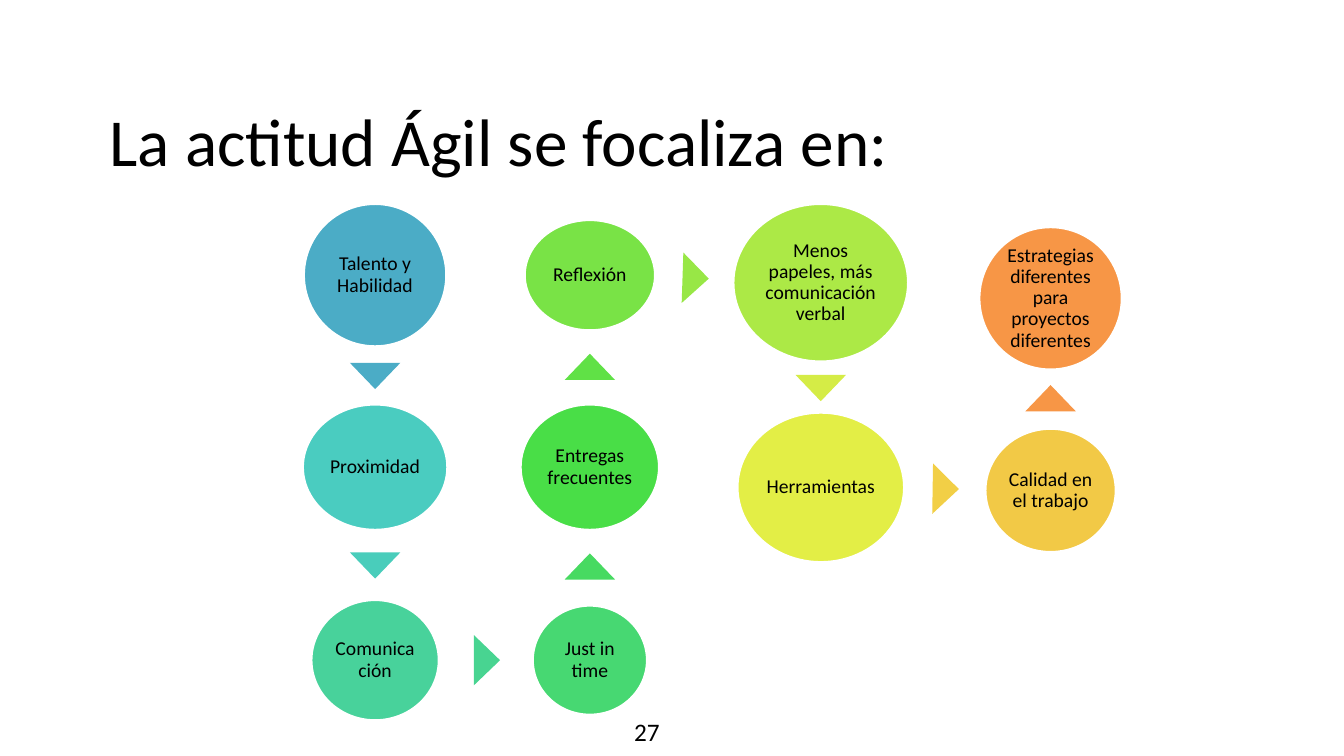
from dataclasses import dataclass

import pptx
import pptx.dml.color
import pptx.enum.shapes
import pptx.enum.text
import pptx.util

SHAPE = pptx.enum.shapes.MSO_SHAPE
ANCHOR = pptx.enum.text.MSO_ANCHOR
ALIGN = pptx.enum.text.PP_ALIGN
AUTO_SIZE = pptx.enum.text.MSO_AUTO_SIZE

SLIDE_WIDTH = pptx.util.Inches(13.33)
SLIDE_HEIGHT = pptx.util.Inches(7.5)
FONT = "Calibri"
BLACK = "000000"
WHITE = "FFFFFF"

# Column centres, in percent of the slide width
COLUMNS = (27.91, 43.89, 61.07, 78.17)
# Arrow base and length, in percent of the slide width and height
ARROW_WIDTH, ARROW_HEIGHT = 3.75, 3.47
UP, RIGHT, DOWN = 0, 90, 180


@dataclass(frozen=True)
class Circle:
    """An idea; centre and size are percentages of the slide."""
    text: str
    column: int
    middle: float
    width: float
    height: float
    color: str


@dataclass(frozen=True)
class Arrow:
    """A triangle leading to the next idea, placed by its centre."""
    center: float
    middle: float
    rotation: float
    color: str


CIRCLES = (
    Circle("Talento y Habilidad", 0, 36.4, 10.65, 18.93, "4BACC6"),
    Circle("Proximidad", 0, 61.8, 10.8, 16.67, "4ACCC0"),
    Circle("Comunicación", 0, 87.33, 9.53, 16, "48D29B"),
    Circle("Just in time", 1, 87.33, 8.55, 14.53, "47D872"),
    Circle("Entregas frecuentes", 1, 61.8, 10.35, 16.67, "49DE47"),
    Circle("Reflexión", 1, 36.4, 9.75, 14.67, "79E346"),
    Circle("Menos papeles, más comunicación verbal",
           2, 37.4, 13.05, 20.93, "ACE946"),
    Circle("Herramientas", 2, 64.47, 12.45, 19.87, "E3EE46"),
    Circle("Calidad en el trabajo", 3, 64.87, 9.75, 16.4, "F2C946"),
    Circle("Estrategias diferentes para proyectos diferentes",
           3, 39.47, 10.65, 18.93, "F79646"),
)

ARROWS = (
    Arrow(COLUMNS[0], 49.73, DOWN, "4BACC6"),
    Arrow(COLUMNS[0], 74.8, DOWN, "49CDBB"),
    Arrow(36.23, 87.33, RIGHT, "48D491"),
    Arrow(COLUMNS[1], 74.93, UP, "47DA61"),
    Arrow(COLUMNS[1], 48.53, UP, "60E146"),
    Arrow(51.76, 36.8, RIGHT + 1.9, "98E746"),
    Arrow(COLUMNS[2], 51.33, DOWN, "D5EC46"),
    Arrow(70.37, 64.67, RIGHT + 0.9, "F2CF46"),
    Arrow(COLUMNS[3], 52.67, UP, "F79646"),
)


def rgb(color: str) -> pptx.dml.color.RGBColor:
    return pptx.dml.color.RGBColor.from_string(color)


def across(percent: float) -> int:
    return round(SLIDE_WIDTH * percent / 100)


def down(percent: float) -> int:
    return round(SLIDE_HEIGHT * percent / 100)


def set_text(shape, text: str, size: float, align, inset: float) -> None:
    """Write one paragraph and format it."""
    text_frame = shape.text_frame
    text_frame.text = text
    margin = pptx.util.Inches(inset)
    text_frame.margin_left = text_frame.margin_right = margin
    text_frame.margin_top = text_frame.margin_bottom = margin
    paragraph = text_frame.paragraphs[0]
    paragraph.alignment = align
    for run in paragraph.runs:
        run.font.name = FONT
        run.font.size = pptx.util.Pt(size)
        run.font.color.rgb = rgb(BLACK)


def add_centered_shape(slide, kind, center: float, middle: float,
                       width: float, height: float, color: str):
    """Add a filled shape around a centre given in percent."""
    shape = slide.shapes.add_shape(
        kind, across(center - width / 2), down(middle - height / 2),
        across(width), down(height))
    shape.shadow.inherit = False
    shape.fill.solid()
    shape.fill.fore_color.rgb = rgb(color)
    return shape


def add_circle(slide, circle: Circle) -> None:
    shape = add_centered_shape(
        slide, SHAPE.OVAL, COLUMNS[circle.column], circle.middle,
        circle.width, circle.height, circle.color)
    shape.line.color.rgb = rgb(WHITE)
    shape.line.width = pptx.util.Pt(2)
    set_text(shape, circle.text, 14, ALIGN.CENTER, 0.02)
    shape.text_frame.word_wrap = True
    shape.text_frame.vertical_anchor = ANCHOR.MIDDLE
    shape.text_frame.paragraphs[0].line_spacing = 0.9


def add_arrow(slide, arrow: Arrow) -> None:
    shape = add_centered_shape(
        slide, SHAPE.ISOSCELES_TRIANGLE, arrow.center, arrow.middle,
        ARROW_WIDTH, ARROW_HEIGHT, arrow.color)
    shape.line.fill.background()
    shape.rotation = arrow.rotation


def add_title(slide) -> None:
    title = slide.shapes.title
    title.left, title.top = across(-7.88), down(13.2)
    title.width, title.height = across(90), down(15.6)
    set_text(title, "La actitud Ágil se focaliza en:", 48, ALIGN.CENTER, 0)
    title.text_frame.auto_size = AUTO_SIZE.NONE
    title.text_frame.vertical_anchor = ANCHOR.TOP


def add_page_number(slide) -> None:
    box = slide.shapes.add_textbox(
        across(46.44), down(94.13), across(4.8), down(5.33))
    set_text(box, "27", 18, ALIGN.LEFT, 0.1)
    box.text_frame.margin_top = box.text_frame.margin_bottom = (
        pptx.util.Inches(0.05))
    box.text_frame.word_wrap = True


def main() -> None:
    presentation = pptx.Presentation()
    presentation.slide_width = SLIDE_WIDTH
    presentation.slide_height = SLIDE_HEIGHT
    slide = presentation.slides.add_slide(presentation.slide_layouts[5])

    # Heading and page number
    add_title(slide)
    add_page_number(slide)

    # Winding path of ideas
    for circle in CIRCLES:
        add_circle(slide, circle)
    for arrow in ARROWS:
        add_arrow(slide, arrow)

    presentation.save("out.pptx")


if __name__ == "__main__":
    main()
